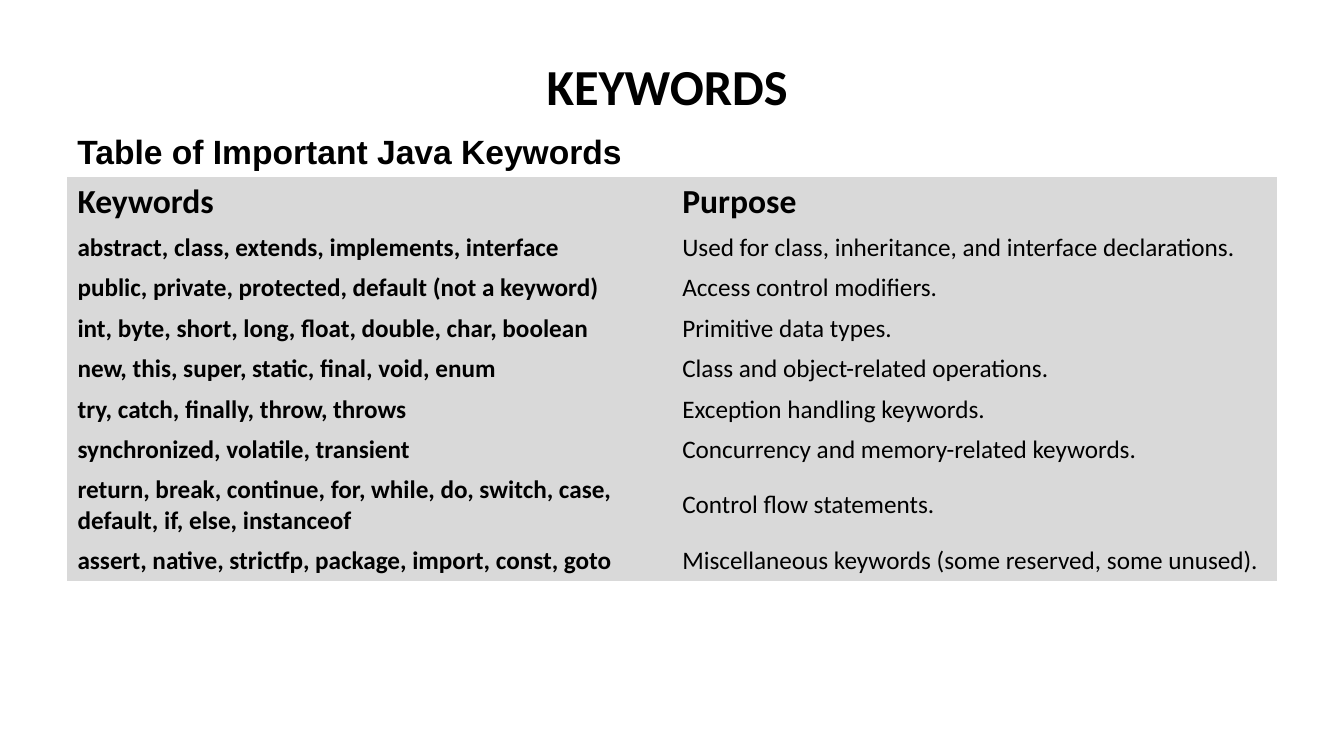
from typing import NamedTuple

from pptx import Presentation
from pptx.dml.color import RGBColor
from pptx.enum.text import MSO_ANCHOR, MSO_AUTO_SIZE, PP_ALIGN
from pptx.oxml.ns import qn
from pptx.util import Cm, Pt

BLACK = RGBColor(0x00, 0x00, 0x00)
GRAY = RGBColor(0xD9, 0xD9, 0xD9)
MIDDLE = MSO_ANCHOR.MIDDLE
TOP = MSO_ANCHOR.TOP
GROW = MSO_AUTO_SIZE.SHAPE_TO_FIT_TEXT
LEFT = PP_ALIGN.LEFT
CENTER = PP_ALIGN.CENTER
TITLE_ONLY = 5
PLAIN_STYLE = "{2D5ABB26-0587-4C30-8999-92F81FD0307C}"

MARGIN = Cm(1.7)
COL_W = Cm(15.24)
HEADER_H, LINE_H, TWO_LINE_H = Cm(1.27), Cm(1.02), Cm(1.78)


class KeywordRow(NamedTuple):
    keywords: str
    purpose: str
    height: int = LINE_H
    size: int = 18
    purpose_bold: bool = False


ROWS = [
    KeywordRow("Keywords", "Purpose", HEADER_H, 24, True),
    KeywordRow("abstract, class, extends, implements, interface",
               "Used for class, inheritance, and interface declarations."),
    KeywordRow("public, private, protected, default (not a keyword)",
               "Access control modifiers."),
    KeywordRow("int, byte, short, long, float, double, char, boolean",
               "Primitive data types."),
    KeywordRow("new, this, super, static, final, void, enum",
               "Class and object-related operations."),
    KeywordRow("try, catch, finally, throw, throws",
               "Exception handling keywords."),
    KeywordRow("synchronized, volatile, transient",
               "Concurrency and memory-related keywords."),
    KeywordRow("return, break, continue, for, while, do, switch, case, "
               "default, if, else, instanceof",
               "Control flow statements.", TWO_LINE_H),
    KeywordRow("assert, native, strictfp, package, import, const, goto",
               "Miscellaneous keywords (some reserved, some unused)."),
]


def write(tf, text: str, *, size: int, bold: bool = True,
          font: str = "Calibri", align=LEFT) -> None:
    p = tf.paragraphs[0]
    p.alignment = align
    r = p.add_run()
    r.text = text
    r.font.name = font
    r.font.size = Pt(size)
    r.font.bold = bold
    r.font.color.rgb = BLACK


def add_title(slide) -> None:
    sp = slide.shapes.title
    sp.left, sp.top, sp.width, sp.height = Cm(13.49), Cm(1.27), Cm(6.65), Cm(1.8)
    tf = sp.text_frame
    tf.word_wrap = False
    tf.auto_size = GROW
    tf.vertical_anchor = TOP
    write(tf, "KEYWORDS", size=36, align=CENTER)


def add_caption(slide) -> None:
    sp = slide.shapes.add_textbox(MARGIN, Cm(3.18), 2 * COL_W, Cm(1.27))
    tf = sp.text_frame
    tf.word_wrap = True
    tf.auto_size = GROW
    write(tf, "Table of Important Java Keywords", size=24, font="Arial")


def add_keyword_table(slide) -> None:
    height = sum(row.height for row in ROWS)
    frame = slide.shapes.add_table(len(ROWS), 2, MARGIN, Cm(4.45),
                                   2 * COL_W, height)
    table = frame.table
    table.first_row = table.horz_banding = False
    frame.element.find(".//" + qn("a:tableStyleId")).text = PLAIN_STYLE
    for column in table.columns:
        column.width = COL_W
    for i, row in enumerate(ROWS):
        table.rows[i].height = row.height
        texts = (row.keywords, True), (row.purpose, row.purpose_bold)
        for j, (text, bold) in enumerate(texts):
            cell = table.cell(i, j)
            cell.fill.solid()
            cell.fill.fore_color.rgb = GRAY
            cell.vertical_anchor = MIDDLE
            write(cell.text_frame, text, size=row.size, bold=bold)


def main() -> None:
    prs = Presentation()
    prs.slide_width, prs.slide_height = Cm(33.87), Cm(19.05)
    slide = prs.slides.add_slide(prs.slide_layouts[TITLE_ONLY])
    add_title(slide)
    add_keyword_table(slide)
    add_caption(slide)
    prs.save("out.pptx")


if __name__ == "__main__":
    main()
